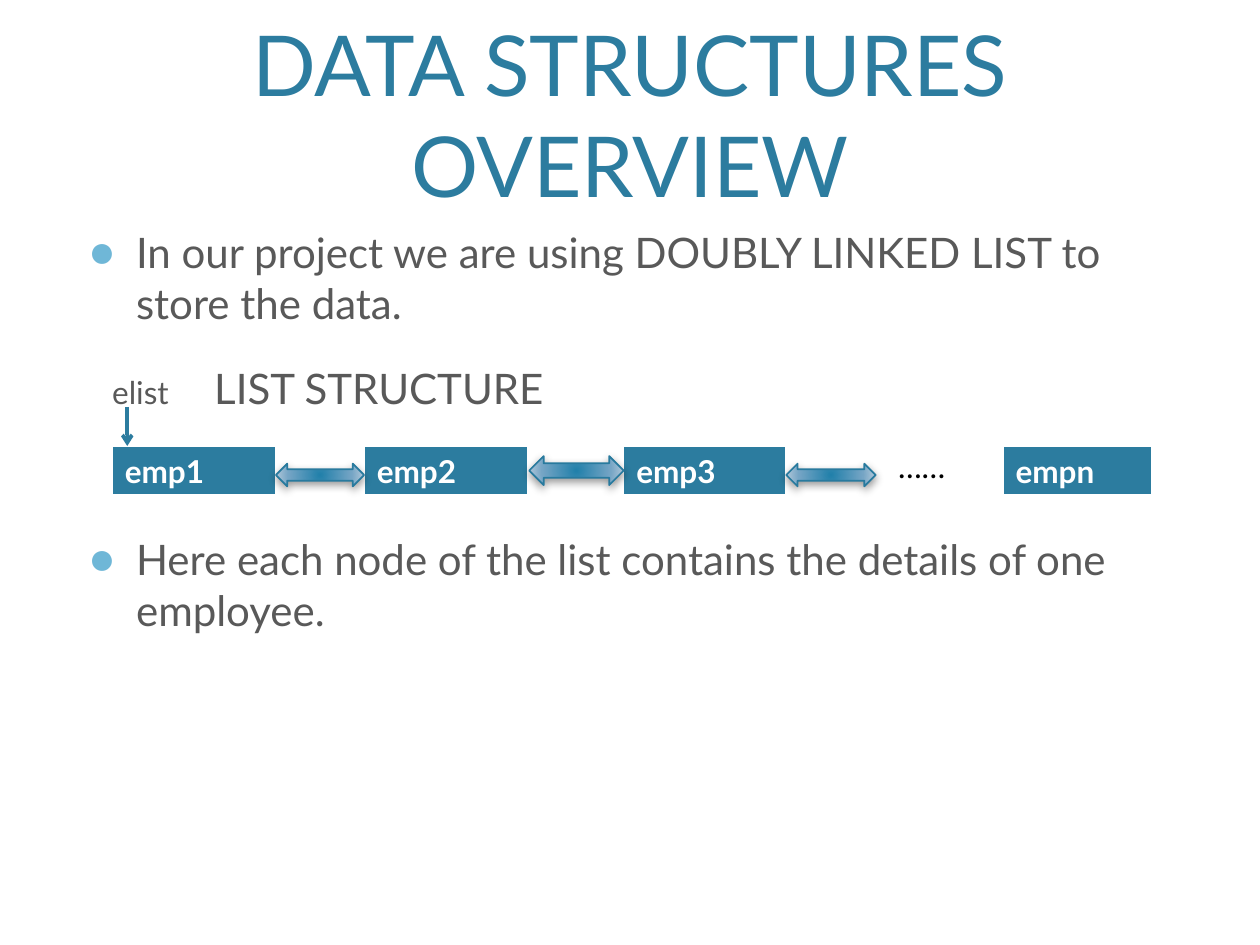
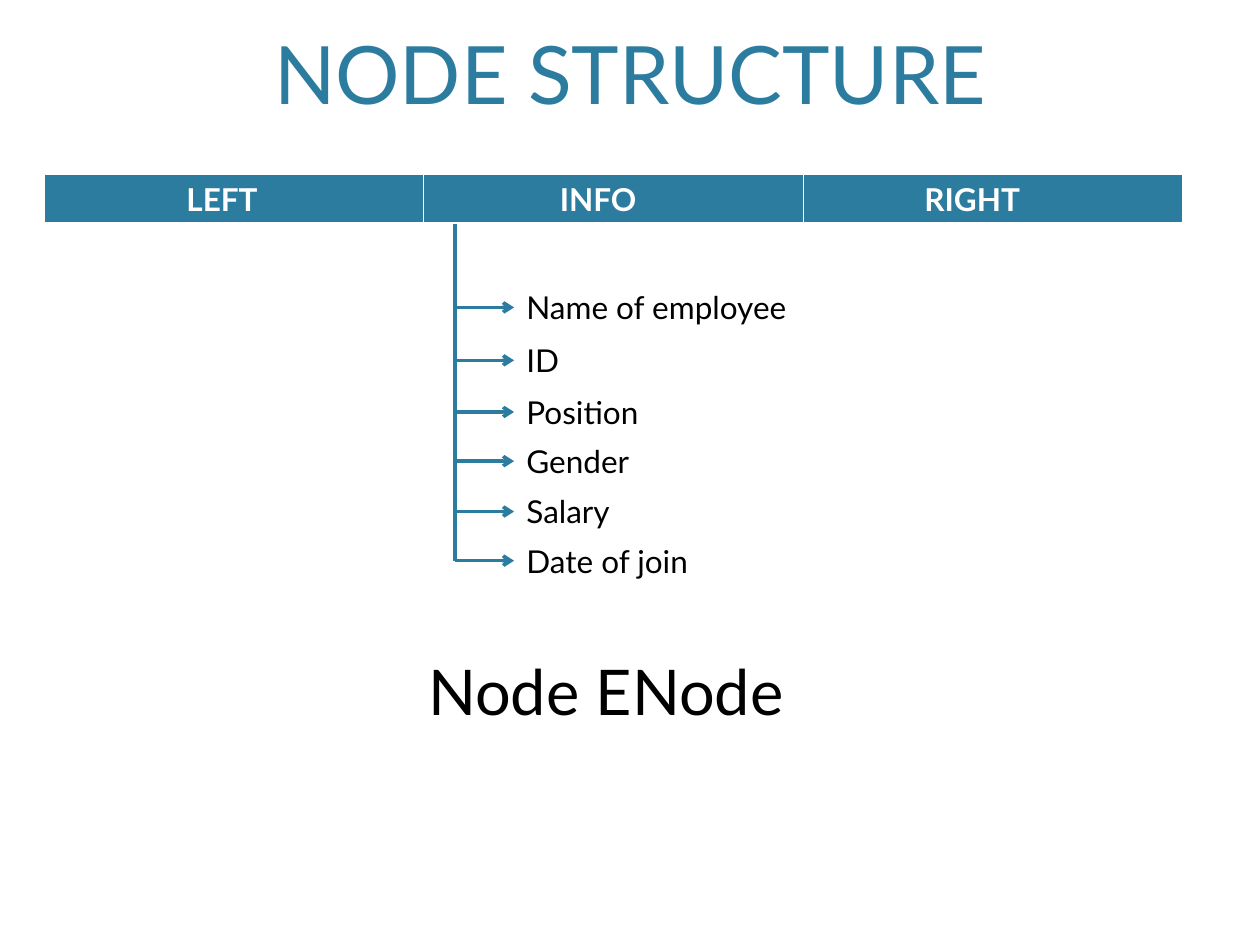
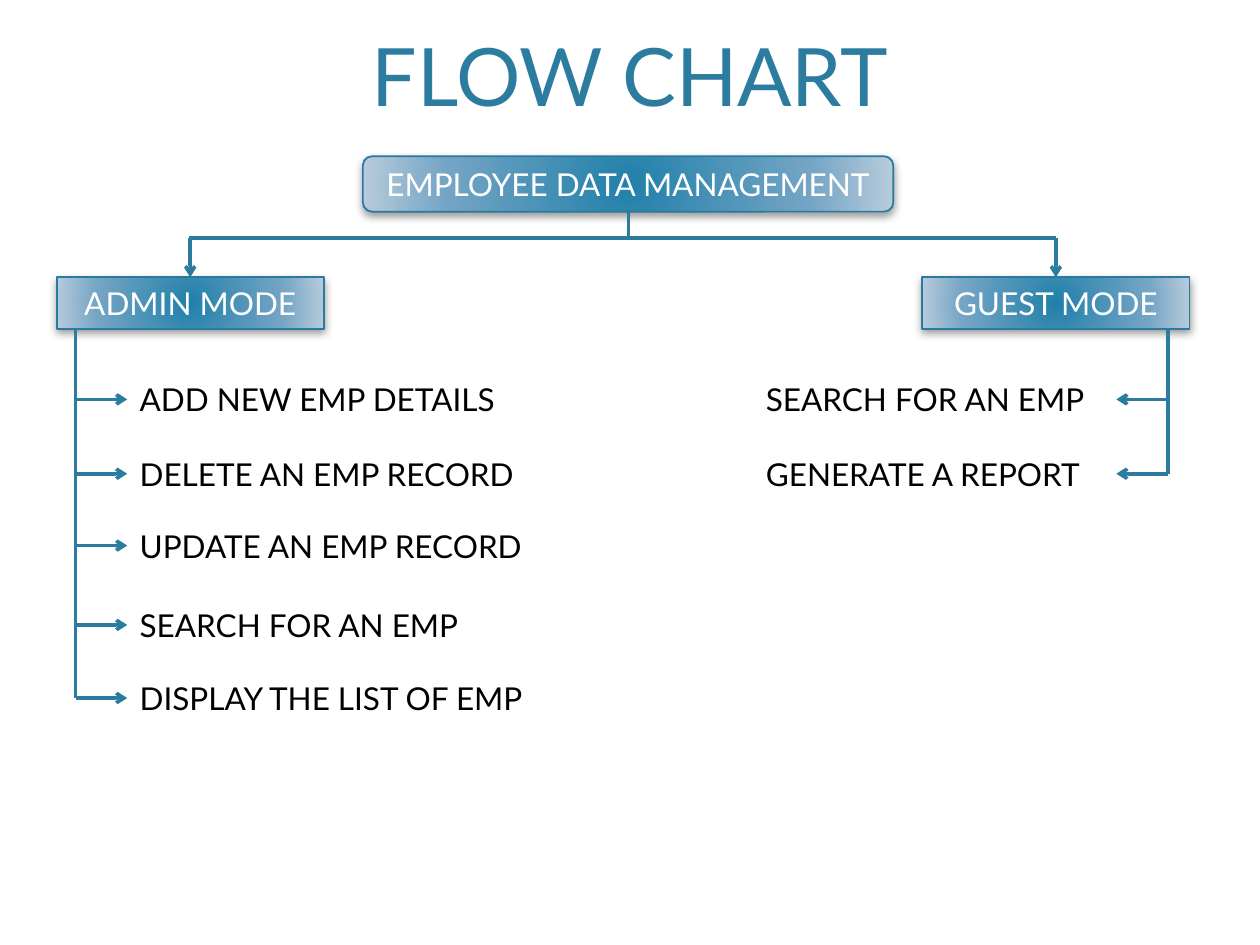
from lxml import etree
from pptx import Presentation
from pptx.dml.color import RGBColor
from pptx.enum.shapes import MSO_CONNECTOR, MSO_SHAPE
from pptx.enum.text import MSO_ANCHOR, MSO_AUTO_SIZE, PP_ALIGN
from pptx.oxml.ns import nsdecls, qn
from pptx.oxml import parse_xml
from pptx.util import Inches, Pt

FONT = "Lato"
BLUE = "2C7C9F"
EDGE = "287A9E"
SKY = "6FB7D7"
GREY = "595959"
BLACK = "000000"
WHITE = "FFFFFF"
STOPS = [(0, "2180AA"), (69, "75A5C5"), (100, "B8CCDC")]

LINE = MSO_CONNECTOR.STRAIGHT
RECT = MSO_SHAPE.RECTANGLE
ROUND = MSO_SHAPE.ROUNDED_RECTANGLE
ARROW = MSO_SHAPE.LEFT_RIGHT_ARROW
CENTER = PP_ALIGN.CENTER
LEFT = PP_ALIGN.LEFT
MIDDLE = MSO_ANCHOR.MIDDLE
BOTTOM = MSO_ANCHOR.BOTTOM
FIXED = MSO_AUTO_SIZE.NONE


def rgb(code):
    return RGBColor.from_string(code)


def xml(text):
    return parse_xml(text.replace(">", f" {nsdecls('a')}>", 1))


def style(para, size, color, align=LEFT, bold=False):
    para.alignment = align
    for run in para.runs:
        font = run.font
        font.name, font.size, font.bold = FONT, Pt(size), bold
        font.color.rgb = rgb(color)


def place(shape, left, top, width, height):
    shape.left, shape.top = Inches(left), Inches(top)
    shape.width, shape.height = Inches(width), Inches(height)


def page(deck, layout, title, size, top, height):
    slide = deck.slides.add_slide(deck.slide_layouts[layout])
    head = slide.shapes.title
    place(head, 0.6, top, 8.8, height)
    frame = head.text_frame
    frame.text = title
    frame.vertical_anchor = BOTTOM
    frame.auto_size = FIXED
    style(frame.paragraphs[0], size, BLUE, CENTER)
    return slide


def label(slide, text, left, top, width, size=18):
    box = slide.shapes.add_textbox(
        Inches(left), Inches(top), Inches(width), Inches(size / 60 + 0.1))
    frame = box.text_frame
    frame.word_wrap = True
    frame.text = text
    style(frame.paragraphs[0], size, BLACK)


def link(slide, start, end, tip=False):
    wire = slide.shapes.add_connector(LINE, *map(Inches, start + end))
    wire.line.color.rgb = rgb(BLUE)
    wire.line.width = Pt(2)
    if tip:
        wire.line._get_or_add_ln().append(xml('<a:tailEnd type="arrow"></a:tailEnd>'))
    etree.SubElement(wire._element.spPr, qn("a:effectLst"))


def glossy(slide, kind, left, top, width, height, text=""):
    shape = slide.shapes.add_shape(
        kind, Inches(left), Inches(top), Inches(width), Inches(height))
    stops = "".join(
        f'<a:gs pos="{pos * 1000}"><a:srgbClr val="{code}"/></a:gs>'
        for pos, code in STOPS)
    props = shape._element.spPr
    props.insert(2, xml(
        f'<a:gradFill><a:gsLst>{stops}</a:gsLst><a:path path="circle">'
        '<a:fillToRect l="100000" t="100000" r="100000" b="100000"/>'
        '</a:path></a:gradFill>'))
    shape.line.color.rgb = rgb(EDGE)
    shape.line.width = Pt(1)
    shape.shadow.inherit = False
    props.find(qn("a:effectLst")).append(xml(
        f'<a:outerShdw blurRad="{Pt(5)}" dist="{Pt(2)}" dir="5400000" rotWithShape="0">'
        f'<a:srgbClr val="{BLACK}"><a:alpha val="40000"/></a:srgbClr></a:outerShdw>'))
    if text:
        frame = shape.text_frame
        frame.text = text
        frame.vertical_anchor = MIDDLE
        style(frame.paragraphs[0], 18, WHITE, CENTER)


def border(cell):
    props = cell._tc.get_or_add_tcPr()
    for spot, (side, width) in enumerate([("L", 1), ("R", 1), ("T", 1), ("B", 3)]):
        props.insert(spot, xml(
            f'<a:ln{side} w="{Pt(width)}"><a:solidFill>'
            f'<a:srgbClr val="{WHITE}"/></a:solidFill></a:ln{side}>'))


def strip(slide, left, top, width, names, pads):
    frame = slide.shapes.add_table(
        1, len(names), Inches(left), Inches(top), Inches(width), Inches(0.4))
    for cell, name, pad in zip(frame.table.rows[0].cells, names, pads):
        cell.text = name
        cell.margin_left = Inches(pad)
        cell.fill.solid()
        cell.fill.fore_color.rgb = rgb(BLUE)
        border(cell)
        style(cell.text_frame.paragraphs[0], 18, WHITE, bold=True)


def bullet(para, text, space):
    para.text = text
    para.space_before = Pt(space)
    style(para, 24, GREY)
    props = para._p.get_or_add_pPr()
    props.set("marL", str(Inches(0.38)))
    props.set("indent", str(Inches(-0.38)))
    props.append(xml(f'<a:buClr><a:srgbClr val="{SKY}"/></a:buClr>'))
    props.append(xml('<a:buSzPct val="110000"></a:buSzPct>'))
    props.append(xml('<a:buChar char="●"></a:buChar>'))


def caption(para):
    for text in ("elist\t", "LIST STRUCTURE"):
        para.add_run().text = text
    para.space_before = Pt(20)
    style(para, 24, GREY)
    para.runs[0].font.size = Pt(18)
    props = para._p.get_or_add_pPr()
    props.set("marL", "0")
    props.set("indent", str(Inches(0.19)))
    props.append(xml('<a:buNone></a:buNone>'))
    props.append(xml(f'<a:tabLst><a:tab pos="{Inches(3.07)}" algn="l"/></a:tabLst>'))


def branch(slide, stem, top, tip, left, width, items):
    link(slide, (stem, top), (stem, items[-1][0]))
    for row, text in items:
        link(slide, (stem, row), (tip, row), True)
        label(slide, text, left, row - 0.2, width)


def overview(deck):
    slide = page(deck, 1, "DATA STRUCTURES OVERVIEW", 48, 0.29, 1.46)
    body = slide.placeholders[1]
    place(body, 0.6, 1.75, 8.8, 4.75)
    frame = body.text_frame
    frame.auto_size = FIXED
    bullet(frame.paragraphs[0],
           "In our project we are using DOUBLY LINKED LIST to store the data.", 20)
    caption(frame.add_paragraph())
    bullet(frame.add_paragraph(),
           "Here each node of the list contains the details of one employee.", 69)
    for name, left, width in [("emp1", 0.89, 1.3), ("emp2", 2.89, 1.3),
                              ("emp3", 4.95, 1.29), ("empn", 7.96, 1.18)]:
        strip(slide, left, 3.54, width, [name], [0.1])
    for left, top, width, height in [(2.19, 3.68, 0.7, 0.18), (4.2, 3.62, 0.75, 0.23),
                                     (6.24, 3.68, 0.71, 0.18)]:
        glossy(slide, ARROW, left, top, width, height)
    label(slide, "……", 7.03, 3.5, 0.93)
    link(slide, (1.01, 3.23), (1.01, 3.54), True)


def node(deck):
    slide = page(deck, 5, "NODE STRUCTURE", 46, 0.12, 0.89)
    strip(slide, 0.35, 1.38, 9.04, ["LEFT", "INFO", "RIGHT"], [1.13, 1.08, 0.96])
    branch(slide, 3.61, 1.78, 4.08, 4.08, 2.47, [
        (2.44, "Name of employee"), (2.86, "ID"), (3.27, "Position"),
        (3.66, "Gender"), (4.06, "Salary"), (4.45, "Date of join")])
    label(slide, "Node ENode", 3.3, 5.13, 4.59, 36)


def flow(deck):
    slide = page(deck, 5, "FLOW CHART", 46, 0.12, 0.9)
    glossy(slide, ROUND, 2.88, 1.24, 4.21, 0.44, "EMPLOYEE DATA MANAGEMENT")
    link(slide, (4.99, 1.67), (4.99, 1.89))
    link(slide, (1.5, 1.89), (8.38, 1.89))
    for mid, text in [(1.51, "ADMIN MODE"), (8.38, "GUEST MODE")]:
        link(slide, (mid, 1.89), (mid, 2.2), True)
        glossy(slide, RECT, mid - 1.06, 2.2, 2.12, 0.41, text)
    branch(slide, 0.6, 2.61, 1.01, 1.01, 3.51, [
        (3.17, "ADD NEW EMP DETAILS"), (3.76, "DELETE AN EMP RECORD"),
        (4.33, "UPDATE AN EMP RECORD"), (4.96, "SEARCH FOR AN EMP"),
        (5.54, "DISPLAY THE LIST OF EMP")])
    branch(slide, 9.27, 2.61, 8.86, 5.98, 2.88, [
        (3.17, "SEARCH FOR AN EMP"), (3.76, "GENERATE A REPORT")])


def main():
    deck = Presentation()
    deck.slide_width, deck.slide_height = Inches(10), Inches(7.5)
    overview(deck)
    node(deck)
    flow(deck)
    deck.save("out.pptx")


if __name__ == "__main__":
    main()
